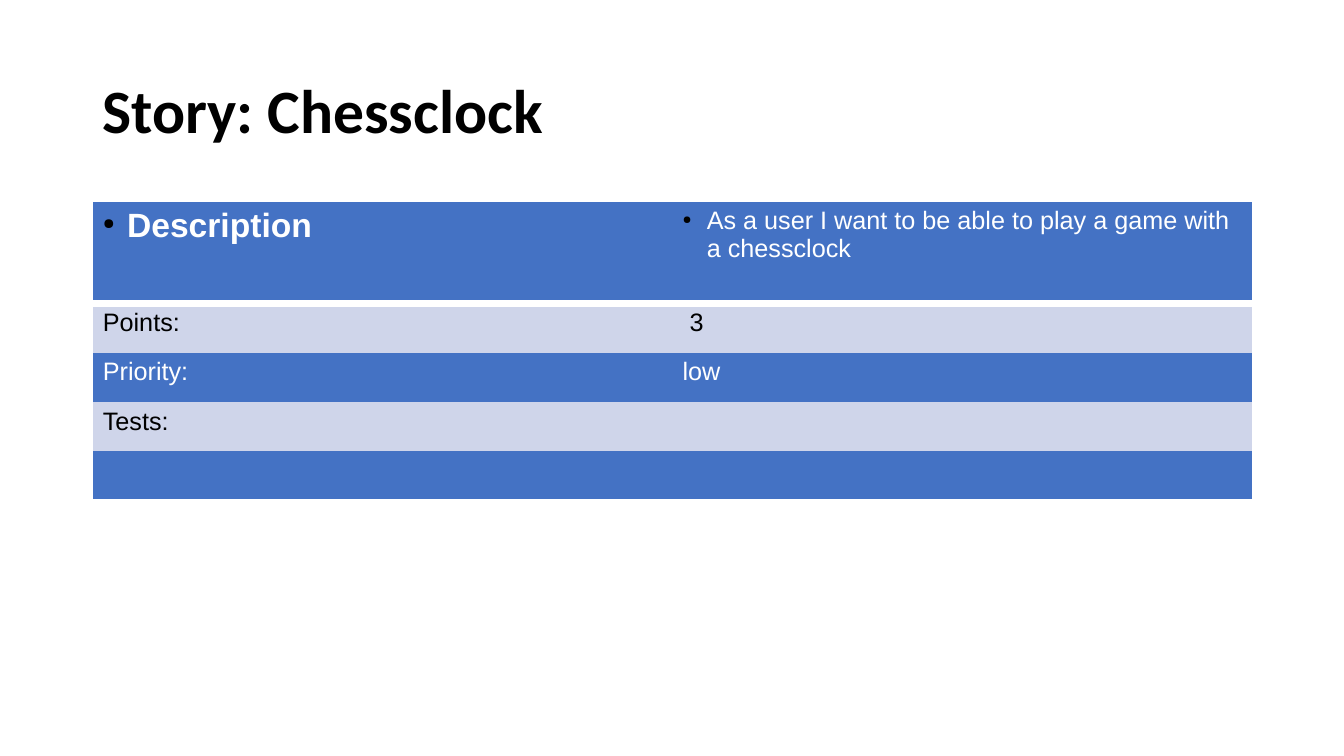
from lxml import etree
from pptx import Presentation
from pptx.dml.color import RGBColor
from pptx.enum.text import MSO_ANCHOR
from pptx.oxml import parse_xml
from pptx.oxml.ns import nsdecls, qn
from pptx.util import Inches, Pt

MIDDLE = MSO_ANCHOR.MIDDLE
BLUE, PALE, WHITE, BLACK = "4472C4", "CFD5EA", "FFFFFF", "000000"
NO_STYLE_NO_GRID = "{2D5ABB26-0587-4C30-8999-92F81FD0307C}"


def color(value):
    return RGBColor.from_string(value)


def write(frame, text, size=18, font="Arial", ink=BLACK, bold=False, bullet=False, spacing=None):
    para = frame.paragraphs[0]
    if spacing:
        para.line_spacing = spacing
    if bullet:
        properties = para._p.get_or_add_pPr()
        properties.set("marL", str(Inches(0.24)))
        properties.set("indent", str(-Inches(0.24)))
        marker_color = etree.SubElement(properties, qn("a:buClr"))
        etree.SubElement(marker_color, qn("a:srgbClr"), val=BLACK)
        etree.SubElement(properties, qn("a:buSzPct"), val="45000")
        etree.SubElement(properties, qn("a:buChar"), char="●")
    target = para
    if text:
        target = para.add_run()
        target.text = text
    target.font.size = Pt(size)
    target.font.name = font
    target.font.bold = bold
    target.font.color.rgb = color(ink)


deck = Presentation()
deck.slide_width, deck.slide_height = Inches(13.33), Inches(7.5)
page = deck.slides.add_slide(deck.slide_layouts[6])

# Title
title = page.shapes.add_textbox(Inches(0.92), Inches(0.4), Inches(11.5), Inches(1.45))
title.text_frame.word_wrap = True
title.text_frame.vertical_anchor = MIDDLE
write(title.text_frame, "Story: Chessclock", size=44, font="Calibri", bold=True, spacing=0.9)

# Story card
story = [
    ("Description", "As a user I want to be able to play a game with a chessclock"),
    ("Points:", " 3"),
    ("Priority:", "low"),
    ("Tests:", ""),
    ("", ""),
]
heights = [1.01, 0.49, 0.49, 0.49, 0.47]
card = page.shapes.add_table(len(story), 2, Inches(0.92), Inches(2), Inches(11.5), Inches(sum(heights))).table
card._tbl.tblPr.find(qn("a:tableStyleId")).text = NO_STYLE_NO_GRID

for row, (texts, height) in enumerate(zip(story, heights)):
    card.rows[row].height = Inches(height)
    header = row == 0
    fill, ink = (PALE, BLACK) if row % 2 else (BLUE, WHITE)
    for column, text in enumerate(texts):
        cell = card.cell(row, column)
        cell.fill.solid()
        cell.fill.fore_color.rgb = color(fill)
        heading = header and column == 0
        write(cell.text_frame, text, size=24 if heading else 18, ink=ink, bold=heading, bullet=header)
        # White rule under the header
        if header:
            rule = parse_xml(
                f'<a:lnB {nsdecls("a")} w="{Pt(6)}"><a:solidFill>'
                f'<a:srgbClr val="{WHITE}"/></a:solidFill></a:lnB>'
            )
            cell._tc.get_or_add_tcPr().insert(0, rule)

deck.save("out.pptx")
